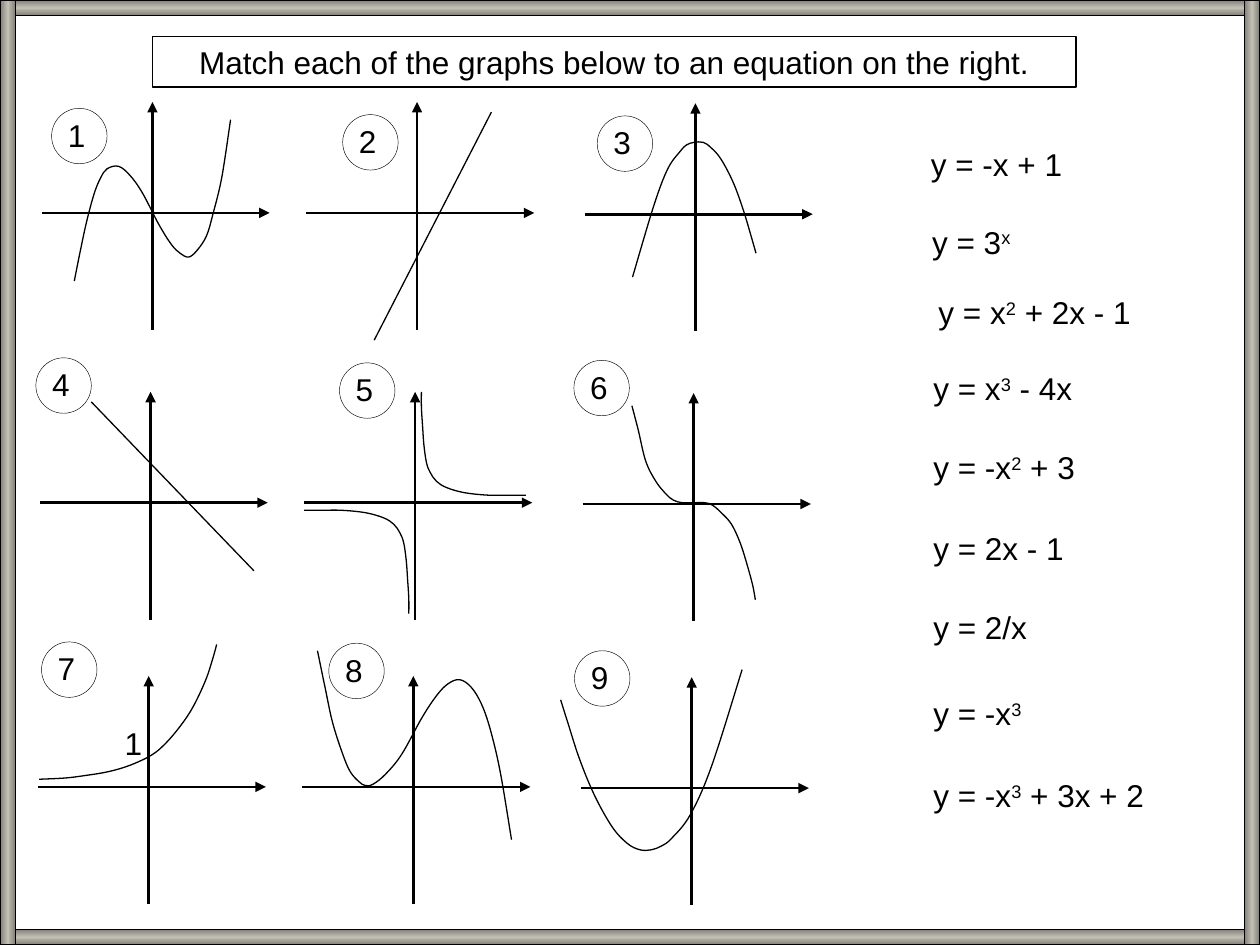
from dataclasses import dataclass
from copy import deepcopy
from pptx import Presentation, util as u
from pptx.dml.color import RGBColor
from pptx.enum import shapes as kinds, text as t
from pptx.oxml import parse_xml
from pptx.oxml.ns import nsdecls, qn


@dataclass(frozen=True)
class Theme:
    ink: RGBColor = RGBColor(0, 0, 0)
    frame_edge: RGBColor = RGBColor(0x80, 0x7E, 0x76)
    frame_middle: RGBColor = RGBColor(0xC2, 0xC0, 0xB4)
    font: str = "Arial"
    size: float = 18
    axis: float = 1.5
    thin: float = 0.75
    badge: float = 0.25


THEME = Theme()
WIDTH, HEIGHT, BORDER = 10, 7.5, 0.125
COLUMNS = [(1.21, 0), (3.31, 0), (5.52, 0.01)]
ROWS = [1.69, 3.99, 6.245]
ROW_SHIFT = -0.015
AXIS_BEFORE, AXIS_AFTER = 0.88, 0.93
BADGE, TEXT_HEIGHT = 0.44, 0.4

TITLE = "Match each of the graphs below to an equation on the right."

EQUATIONS = [
    (7.29, 1.1, ["y = -x + 1"]),
    (7.3, 1.72, ["y = 3", "x"]),
    (7.35, 2.28, ["y = x", "2", " + 2x - 1"]),
    (7.31, 2.88, ["y = x", "3", " - 4x"]),
    (7.31, 3.51, ["y = -x", "2", " + 3"]),
    (7.31, 4.15, ["y = 2x - 1"]),
    (7.31, 4.78, ["y = 2/x"]),
    (7.31, 5.46, ["y = -x", "3"]),
    (7.31, 6.11, ["y = -x", "3", " + 3x + 2"]),
]

HYPERBOLA = [(.05, -.88), (.05, -.76), (.06, -.6), (.07, -.46), (.09, -.32), (.12, -.24),
             (.17, -.17), (.25, -.12), (.39, -.08), (.58, -.06), (.76, -.06), (.88, -.06)]

GRAPHS = [
    {"badge": (-.8, -.83), "curves": [[
        (-.62, .54), (-.57, .29), (-.52, .06), (-.46, -.16), (-.41, -.28), (-.36, -.35),
        (-.27, -.37), (-.18, -.3), (-.08, -.16), (.05, .09),
        (.15, .25), (.22, .32), (.29, .35), (.36, .29), (.43, .18), (.48, .01),
        (.55, -.28), (.62, -.74)]]},
    {"badge": (-.59, -.78), "curves": [[(-.34, 1.01), (.59, -.8)]]},
    {"badge": (-.78, -.78), "curves": [[
        (.48, .31), (.44, .17), (.38, -.03), (.3, -.25), (.2, -.44), (.12, -.53),
        (.06, -.57), (-.01, -.57), (-.07, -.55), (-.12, -.5), (-.22, -.36),
        (-.33, -.07), (-.5, .5)]]},
    {"badge": (-.91, -1.15), "curves": [[(-.47, -.8), (.82, .54)]]},
    {"badge": (-.6, -1.11), "curves": [HYPERBOLA, [(-x, -y) for x, y in HYPERBOLA]]},
    {"badge": (-.95, -1.14), "curves": [[
        (.49, .76), (.47, .65), (.43, .5), (.37, .31), (.3, .16), (.22, .07), (.15, .01),
        (.09, -.01), (0, -.01), (-.09, -.01), (-.16, -.03), (-.22, -.08), (-.3, -.18),
        (-.38, -.34), (-.44, -.59), (-.49, -.78)]]},
    {"badge": (-.85, -1.15), "intercept": "1", "curves": [[
        (.54, -1.13), (.51, -1.02), (.45, -.84), (.35, -.63), (.25, -.48), (.13, -.34),
        (.02, -.25), (-.15, -.17), (-.32, -.12), (-.5, -.09), (-.66, -.07), (-.87, -.06)]]},
    {"badge": (-.67, -1.14), "curves": [[
        (-.76, -1.08), (-.7, -.79), (-.64, -.51), (-.56, -.26), (-.5, -.12), (-.43, -.04),
        (-.38, -.01), (-.32, -.02), (-.22, -.1), (-.09, -.26), (.07, -.55),
        (.19, -.73), (.28, -.82), (.37, -.85), (.46, -.79), (.54, -.66), (.61, -.46),
        (.69, -.12), (.78, .42)]]},
    {"badge": (-.93, -1.09), "curves": [[
        (-1.04, -.7), (-.98, -.51), (-.89, -.23), (-.77, .06), (-.63, .31), (-.51, .44),
        (-.41, .49), (-.32, .49), (-.24, .46), (-.16, .4), (-.01, .21), (.16, -.18),
        (.4, -.94)]]},
]


def inches(*lengths):
    return [u.Inches(length) for length in lengths]


def style_line(shape, width):
    shape.line.color.rgb = THEME.ink
    shape.line.width = u.Pt(width)


def add_outline(slide, kind, box, width):
    shape = slide.shapes.add_shape(kind, *inches(*box))
    shape.shadow.inherit = False
    shape.fill.background()
    style_line(shape, width)
    return shape


def add_segment(slide, start, end, width, arrow=None):
    connector = slide.shapes.add_connector(
        kinds.MSO_CONNECTOR.STRAIGHT, *inches(*start, *end))
    style_line(connector, width)
    if arrow:
        connector.line._get_or_add_ln().append(
            parse_xml(f'<a:{arrow} {nsdecls("a")} type="triangle"/>'))
    connector._element.spPr.append(parse_xml(f'<a:effectLst {nsdecls("a")}/>'))


def write(shape, pieces, align=t.PP_ALIGN.LEFT):
    frame = shape.text_frame
    frame.word_wrap = True
    frame.vertical_anchor = t.MSO_ANCHOR.TOP
    paragraph = frame.paragraphs[0]
    paragraph.alignment = align
    for index, piece in enumerate(pieces):
        run = paragraph.add_run()
        run.text = piece
        run.font.name = THEME.font
        run.font.size = u.Pt(THEME.size)
        run.font.color.rgb = THEME.ink
        if index % 2:
            run.font._element.set("baseline", "30000")


def add_text(slide, left, top, width, pieces):
    write(slide.shapes.add_textbox(*inches(left, top, width, TEXT_HEIGHT)), pieces)


def round_corners(curve):
    lines = list(curve._element.spPr.iter(qn("a:lnTo")))
    points = [(int(point.get("x")), int(point.get("y")))
              for point in curve._element.spPr.iter(qn("a:pt"))]
    padded = [points[0], *points, points[-1]]
    for line, a, b, c, d in zip(lines, padded, padded[1:], padded[2:], padded[3:]):
        leaving = [q + (r - p) // 6 for p, q, r in zip(a, b, c)]
        arriving = [q - (r - p) // 6 for p, q, r in zip(b, c, d)]
        marks = "".join(f'<a:pt x="{x}" y="{y}"/>' for x, y in (leaving, arriving, c))
        line.getparent().replace(line, parse_xml(
            f'<a:cubicBezTo {nsdecls("a")}>{marks}</a:cubicBezTo>'))


def add_curve(slide, knots):
    if len(knots) == 2:
        add_segment(slide, *knots, THEME.thin)
        return
    points = [inches(*knot) for knot in knots]
    builder = slide.shapes.build_freeform(*points[0])
    builder.add_line_segments(points[1:], close=False)
    curve = builder.convert_to_shape()
    round_corners(curve)
    curve.shadow.inherit = False
    curve.fill.background()
    style_line(curve, THEME.thin)


def add_graph(slide, index, graph):
    row, column = divmod(index, len(COLUMNS))
    x, drop = COLUMNS[column]
    x, y = x + row * ROW_SHIFT, ROWS[row] + drop
    add_segment(slide, (x, y - AXIS_BEFORE), (x, y + AXIS_AFTER), THEME.axis, "headEnd")
    add_segment(slide, (x - AXIS_BEFORE, y), (x + AXIS_AFTER, y), THEME.axis, "tailEnd")
    for curve in graph["curves"]:
        add_curve(slide, [(x + dx, y + dy) for dx, dy in curve])
    if "intercept" in graph:
        add_text(slide, x - 0.29, y - 0.55, 0.31, [graph["intercept"]])
    left, top = x + graph["badge"][0], y + graph["badge"][1]
    add_outline(slide, kinds.MSO_SHAPE.OVAL, (left, top, BADGE, BADGE), THEME.badge)
    add_text(slide, left + 0.03, top + 0.01, 0.51, [str(index + 1)])


def add_frame_bar(slide, box, angle):
    bar = add_outline(slide, kinds.MSO_SHAPE.RECTANGLE, box, THEME.thin)
    bar.fill.gradient()
    bar.fill.gradient_angle = angle
    first = bar.fill.gradient_stops[0]._gs
    first.addnext(deepcopy(first))
    colors = [THEME.frame_edge, THEME.frame_middle, THEME.frame_edge]
    for stop, color, position in zip(bar.fill.gradient_stops, colors, (0, 0.5, 1)):
        stop.color.rgb = color
        stop.position = position


def main():
    presentation = Presentation()
    presentation.slide_width, presentation.slide_height = inches(WIDTH, HEIGHT)
    slide = presentation.slides.add_slide(presentation.slide_layouts[6])
    for index, graph in enumerate(GRAPHS):
        add_graph(slide, index, graph)
    title = add_outline(slide, kinds.MSO_SHAPE.RECTANGLE,
                        (1.21, 0.29, 7.33, TEXT_HEIGHT), THEME.thin)
    write(title, [TITLE], t.PP_ALIGN.CENTER)
    for left, top, pieces in EQUATIONS:
        add_text(slide, left, top, 2.33, pieces)
    for top in (0, HEIGHT - BORDER):
        add_frame_bar(slide, (0, top, WIDTH, BORDER), 90)
    for left in (WIDTH - BORDER, 0):
        add_frame_bar(slide, (left, 0, BORDER, HEIGHT), 0)
    presentation.save("out.pptx")


if __name__ == "__main__":
    main()
